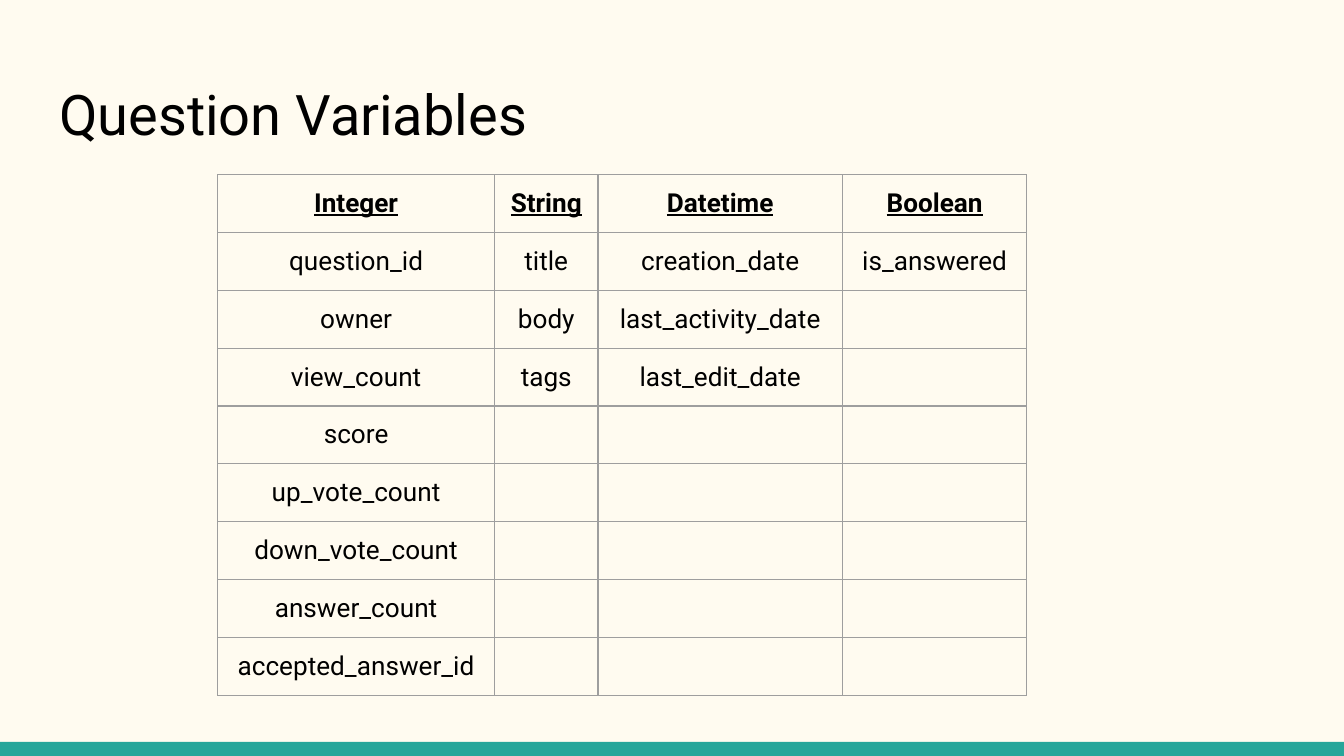
from itertools import zip_longest

from lxml.etree import SubElement
from pptx import Presentation
from pptx.dml.color import RGBColor
from pptx.enum.shapes import MSO_SHAPE
from pptx.enum.text import MSO_ANCHOR, PP_ALIGN
from pptx.oxml.ns import qn
from pptx.util import Inches, Pt

COLORS = {"background": "FFFBF0", "accent": "26A69A", "text": "000000", "border": "9E9E9E"}
VARIABLES = {
    "Integer": ["question_id", "owner", "view_count", "score", "up_vote_count",
                "down_vote_count", "answer_count", "accepted_answer_id"],
    "String": ["title", "body", "tags"],
    "Datetime": ["creation_date", "last_activity_date", "last_edit_date"],
    "Boolean": ["is_answered"],
}
COLUMN_WIDTHS = [2.06, 0.77, 1.82, 1.37]
ROW_HEIGHT = 0.42


class SlideBuilder:
    font_name = "Roboto"
    inset = Inches(0.1)

    def __init__(self, deck):
        self.slide = deck.slides.add_slide(deck.slide_layouts[5])
        fill = self.slide.background.fill
        fill.solid()
        fill.fore_color.rgb = RGBColor.from_string(COLORS["background"])

    def format_text(self, frame, size, align, heading=False):
        for para in frame.paragraphs:
            para.alignment = align
            for span in para.runs:
                span.font.name = self.font_name
                span.font.size = Pt(size)
                span.font.bold = heading
                span.font.underline = heading
                span.font.color.rgb = RGBColor.from_string(COLORS["text"])

    def set_insets(self, target):
        target.margin_left = target.margin_right = self.inset
        target.margin_top = target.margin_bottom = self.inset

    def title(self, text, left, top, width, height):
        box = self.slide.shapes.title
        box.left, box.top = Inches(left), Inches(top)
        box.width, box.height = Inches(width), Inches(height)
        frame = box.text_frame
        frame.text = text
        frame.word_wrap = True
        frame.vertical_anchor = MSO_ANCHOR.TOP
        self.set_insets(frame)
        self.format_text(frame, 30, PP_ALIGN.LEFT)

    def bar(self, left, top, width, height):
        bar = self.slide.shapes.add_shape(
            MSO_SHAPE.RECTANGLE, Inches(left), Inches(top), Inches(width), Inches(height))
        bar.shadow.inherit = False
        bar.fill.solid()
        bar.fill.fore_color.rgb = RGBColor.from_string(COLORS["accent"])
        bar.line.fill.background()

    def border(self, cell):
        properties = cell._tc.get_or_add_tcPr()
        for index, side in enumerate(("a:lnL", "a:lnR", "a:lnT", "a:lnB")):
            line = SubElement(properties, qn(side), w=str(Pt(0.75)))
            properties.insert(index, line)
            fill = SubElement(line, qn("a:solidFill"))
            SubElement(fill, qn("a:srgbClr"), val=COLORS["border"])

    def table(self, rows, left, top, widths, row_height):
        table = self.slide.shapes.add_table(
            len(rows), len(widths), Inches(left), Inches(top),
            Inches(sum(widths)), Inches(row_height * len(rows))).table
        table.horz_banding = False
        table.first_row = False
        for column, width in zip(table.columns, widths):
            column.width = Inches(width)
        for row_index, (row, texts) in enumerate(zip(table.rows, rows)):
            row.height = Inches(row_height)
            for cell, text in zip(row.cells, texts):
                cell.fill.background()
                self.border(cell)
                if text:
                    cell.text_frame.text = text
                    self.set_insets(cell)
                    self.format_text(cell.text_frame, 14, PP_ALIGN.CENTER, row_index == 0)


deck = Presentation()
deck.slide_width = Inches(10)
deck.slide_height = deck.slide_width * 9 // 16
page = SlideBuilder(deck)
page.bar(0, 5.52, 10, 0.11)
page.title("Question Variables", 0.34, 0.49, 9.32, 0.67)
rows = [list(VARIABLES), *zip_longest(*VARIABLES.values(), fillvalue="")]
page.table(rows, 1.62, 1.3, COLUMN_WIDTHS, ROW_HEIGHT)
deck.save("out.pptx")
